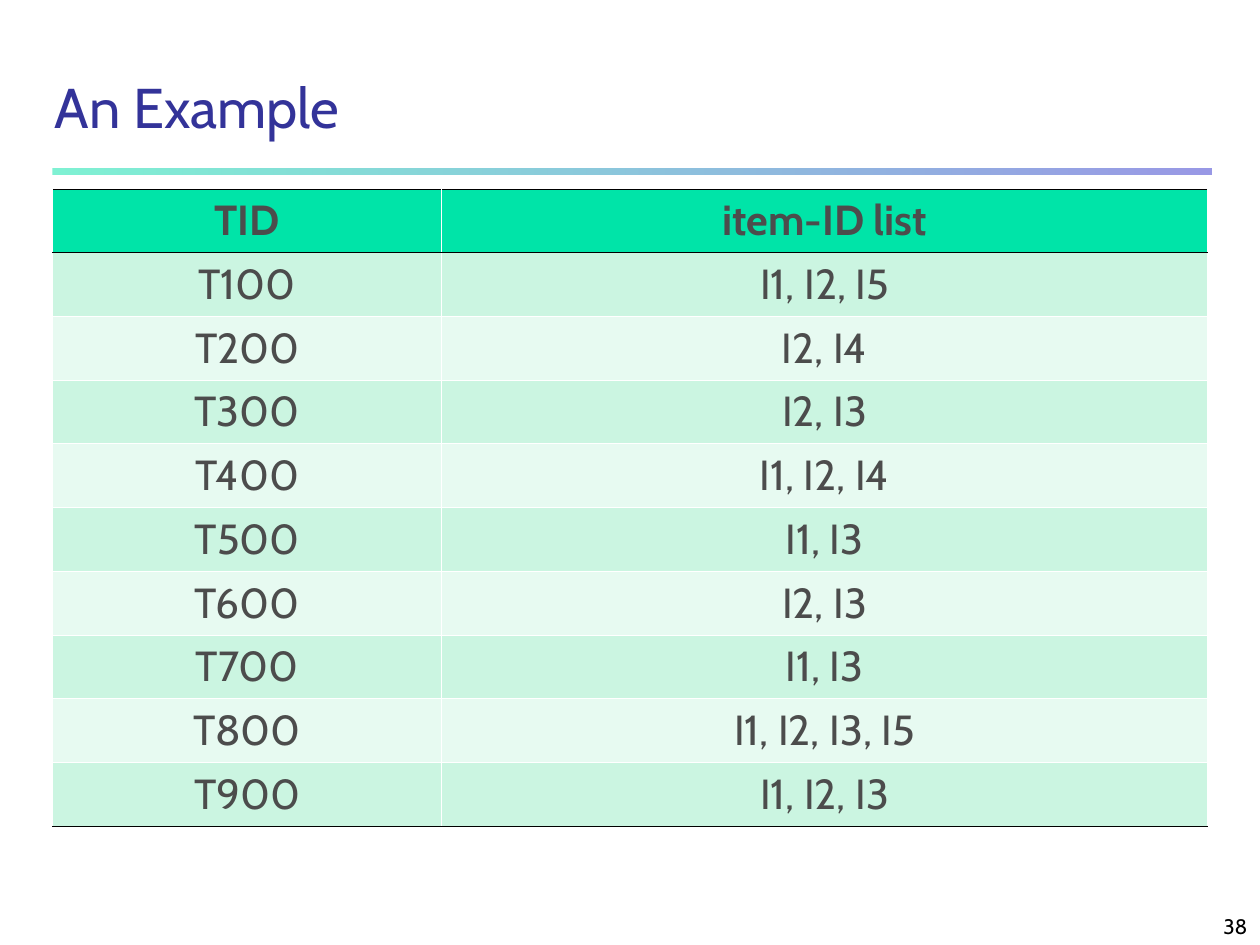
"""Builds a slide with a table of transactions and their item lists."""
from lxml import etree
from pptx import Presentation
from pptx.dml.color import RGBColor
from pptx.enum import shapes, text
from pptx.oxml.ns import qn
from pptx.util import Pt

TITLE = "An Example"
PAGE_NUMBER = "38"
ROWS = [
    ("TID", "item-ID list"),
    ("T100", "I1, I2, I5"),
    ("T200", "I2, I4"),
    ("T300", "I2, I3"),
    ("T400", "I1, I2, I4"),
    ("T500", "I1, I3"),
    ("T600", "I2, I3"),
    ("T700", "I1, I3"),
    ("T800", "I1, I2, I3, I5"),
    ("T900", "I1, I2, I3"),
]
COLUMN_WIDTHS = (222.5, 437.5)
ROW_HEIGHT = 30
LEFT = 30
FONT = "Cabin"
HEADER_FILL = "00E4A8"
BAND_FILLS = ("E7FAF1", "CBF5E1")
BLACK, WHITE = "000000", "FFFFFF"


def rgb(value):
    return RGBColor.from_string(value)


def write(frame, words, size, color, align, anchor, bold=False):
    frame.text = words
    frame.word_wrap = True
    frame.auto_size = text.MSO_AUTO_SIZE.NONE
    frame.vertical_anchor = anchor
    style(frame.paragraphs[0], size, color, align, bold)


def style(para, size, color, align, bold=False):
    para.alignment = align
    font = para.runs[0].font
    font.name, font.size, font.bold = FONT, Pt(size), bold
    font.color.rgb = rgb(color)


def add_borders(cell, colors):
    properties = cell._tc.get_or_add_tcPr()
    for index, (side, color) in enumerate(colors.items()):
        line = etree.Element(qn(f"a:ln{side}"), w=str(Pt(0.45)))
        fill = etree.SubElement(line, qn("a:solidFill"))
        etree.SubElement(fill, qn("a:srgbClr"), val=color)
        properties.insert(index, line)


def add_bar(page):
    bar = page.shapes.add_shape(
        shapes.MSO_SHAPE.RECTANGLE, Pt(LEFT), Pt(96), Pt(662.5), Pt(4))
    bar.shadow.inherit = False
    bar.line.fill.background()
    bar.fill.gradient()
    bar.fill.gradient_angle = 0
    for stop, color in zip(bar.fill.gradient_stops, ("00E4A8", "3333CC")):
        stop.color.rgb = rgb(color)
    for color in bar.element.spPr.iter(qn("a:srgbClr")):
        etree.SubElement(color, qn("a:alpha"), val="50000")


def add_table(page):
    table = page.shapes.add_table(
        len(ROWS), len(COLUMN_WIDTHS), Pt(LEFT), Pt(108),
        Pt(sum(COLUMN_WIDTHS)), Pt(ROW_HEIGHT * len(ROWS))).table
    table.horz_banding = False
    for column, width in zip(table.columns, COLUMN_WIDTHS):
        column.width = Pt(width)
    last = len(ROWS) - 1
    for r, row in enumerate(ROWS):
        top = BLACK if r in (0, 1) else WHITE
        bottom = BLACK if r in (0, last) else WHITE
        for c, words in enumerate(row):
            cell = table.cell(r, c)
            cell.text = words
            cell.vertical_anchor = text.MSO_ANCHOR.MIDDLE
            style(cell.text_frame.paragraphs[0], 24, "4C4C4C",
                  text.PP_ALIGN.CENTER, r == 0)
            cell.fill.solid()
            cell.fill.fore_color.rgb = rgb(BAND_FILLS[r % 2] if r else HEADER_FILL)
            add_borders(cell, {"L": WHITE, "R": WHITE, "T": top, "B": bottom})


def main():
    deck = Presentation()
    deck.slide_width, deck.slide_height = Pt(720), Pt(540)
    page = deck.slides.add_slide(deck.slide_layouts[5])
    add_bar(page)

    number = page.shapes.add_textbox(Pt(570), Pt(510), Pt(150), Pt(30))
    write(number.text_frame, PAGE_NUMBER, 12, BLACK,
          text.PP_ALIGN.RIGHT, text.MSO_ANCHOR.BOTTOM)

    title = page.shapes.title
    title.left, title.top, title.width, title.height = Pt(24), Pt(42), Pt(666), Pt(42)
    write(title.text_frame, TITLE, 32, "333399",
          text.PP_ALIGN.LEFT, text.MSO_ANCHOR.BOTTOM)
    title.text_frame.paragraphs[0].line_spacing = 0.9

    add_table(page)
    deck.save("out.pptx")


if __name__ == "__main__":
    main()
